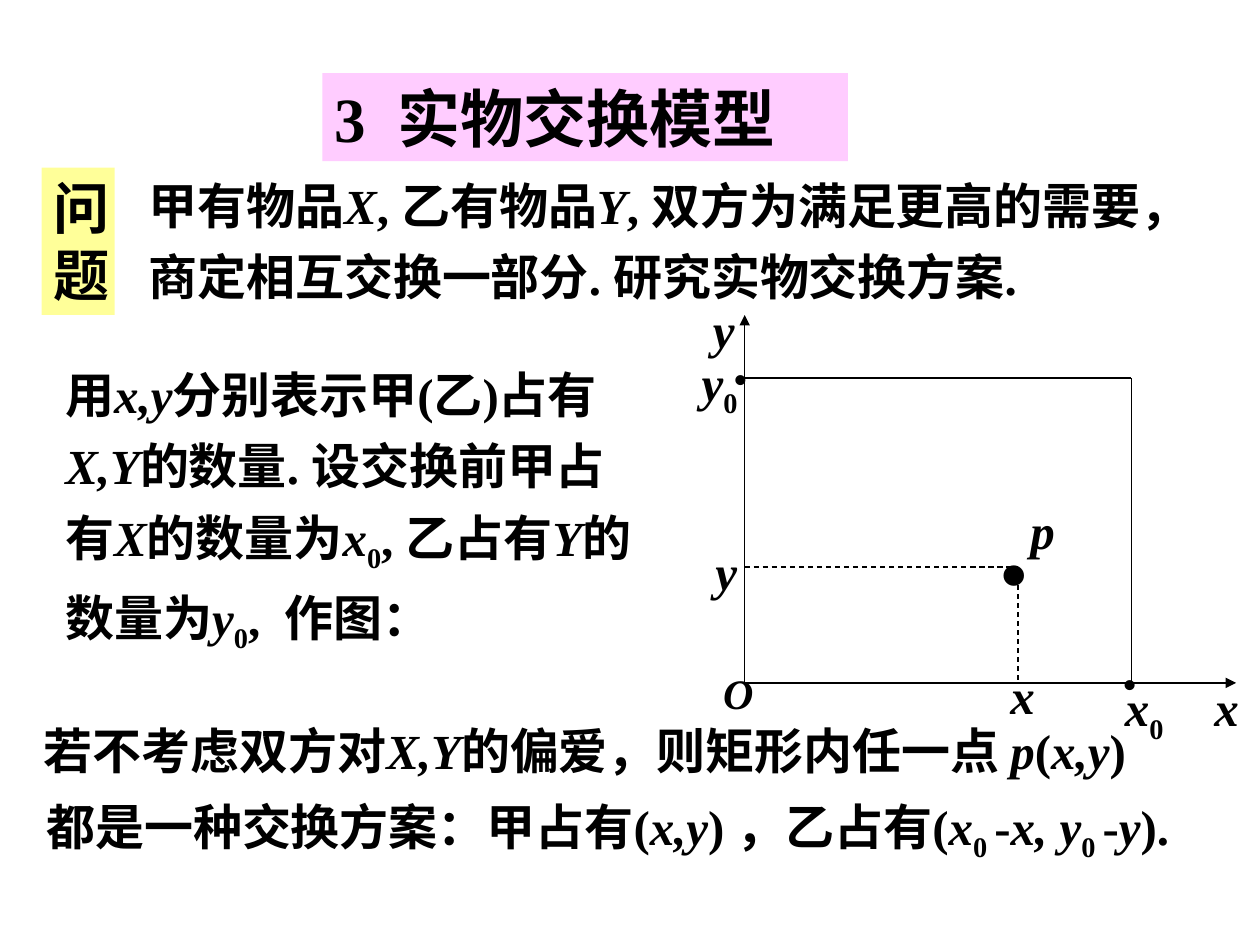
from lxml import etree
from pptx import Presentation, util as u
from pptx.dml.color import RGBColor
from pptx.enum import dml, shapes, text
from pptx.oxml.ns import qn

WIDTH, HEIGHT = 10, 7.5
FONT, TITLE_FONT = "Times New Roman", "Noto Sans CJK SC"
COLOURS = {"ink": "000000", "title": "FFCCFF", "label": "FFFF99"}

# Runs are parted by |  (* italic, _ subscript, ~ widened space, # title font)
# Panels: text, left, top, width, height, size, fill, space before
PANELS = [
    ("3|~ |#实物交换模型", 2.56, 0.58, 4.17, 0.7, 36, "title", 0),
    ("问题", 0.33, 1.33, 0.58, 1.17, 32, "label", 20),
]
# Body: text, left, top, width, height, line spacing, space before
BODY = [
    ("甲有物品|*X|, 乙有物品|*Y|, 双方为满足更高的需要，商定相互交换一部分. 研究实物交换方案.",
     1.08, 1.25, 8.58, 1.22, 1.2, 0),
    ("用|*x,y|分别表示甲(乙)占有|*X,Y|的数量. 设交换前甲占有|*X|的数量为|*x|_0|, 乙占有"
     "|*Y|的数量为|*y|_0|,|~ |作图：", 0.42, 2.75, 4.75, 2.5, 1.2, 0),
    ("若不考虑双方对|*X,Y|的偏爱，则矩形内任一点 |*p|(|*x,y|)",
     0.25, 5.58, 9.33, 0.66, 1.2, 0),
    ("都是一种交换方案：甲占有(|*x,y|) ，乙占有(|*x|_0 |-|*x, y|_0 |-|*y|).",
     0.27, 6.27, 9.33, 1.1, None, 17.5),
]
# Diagram marks: text, left, top, width, height, size, bold
MARKS = [
    ("*y", 5.58, 4.25, 0.5, 0.57, 28, True),
    ("*x", 7.92, 5.23, 0.5, 0.57, 28, True),
    ("*p", 8.08, 3.92, 0.42, 0.57, 28, True),
    (".", 7.83, 3.59, 0.58, 1.3, 72, True),
    ("*x", 9.54, 5.33, 0.93, 0.57, 28, True),
    ("*y", 5.56, 2.33, 0.5, 0.57, 28, True),
    ("*y|_0", 5.47, 2.75, 0.67, 0.63, 28, True),
    ("*O", 5.64, 5.25, 0.57, 0.5, 24, True),
    ("*x|_0", 8.83, 5.33, 0.78, 0.63, 28, True),
    ("•", 8.81, 5.17, 0.67, 0.5, 24, False),
    ("•", 5.72, 2.75, 0.67, 0.5, 24, False),
]
# Diagram coordinates: axes, rectangle corner and the point p
ORIGIN_X, ORIGIN_Y = 5.91, 5.42
AXIS_END, AXIS_TOP = 9.81, 2.5
CORNER_X, CORNER_Y = 8.98, 3
POINT_X, POINT_Y = 8.08, 4.5
LINES = [  # start, end, style
    ((ORIGIN_X, POINT_Y), (POINT_X, POINT_Y), "dash"),
    ((POINT_X, POINT_Y), (POINT_X, ORIGIN_Y), "dash"),
    ((ORIGIN_X, ORIGIN_Y), (AXIS_END, ORIGIN_Y), "arrow"),
    ((ORIGIN_X, ORIGIN_Y), (ORIGIN_X, AXIS_TOP), "arrow"),
    ((ORIGIN_X, CORNER_Y), (CORNER_X, CORNER_Y), "plain"),
    ((CORNER_X, CORNER_Y), (CORNER_X, ORIGIN_Y), "plain"),
]


def colour(name):
    return RGBColor.from_string(COLOURS[name])


def write(box, content, size, bold=True, spacing=None, before=0):
    frame = box.text_frame
    frame.word_wrap = True
    frame.auto_size = text.MSO_AUTO_SIZE.SHAPE_TO_FIT_TEXT
    frame.vertical_anchor = text.MSO_ANCHOR.TOP
    para = frame.paragraphs[0]
    para.alignment = text.PP_ALIGN.LEFT
    para.space_before = u.Pt(before)
    if spacing:
        para.line_spacing = spacing
    for part in content.split("|"):
        mark = part[0] if part[0] in "*_~#" else ""
        span = para.add_run()
        span.text = part[len(mark):]
        font = span.font
        font.name = TITLE_FONT if mark == "#" else FONT
        font.size, font.bold, font.italic = u.Pt(size), bold, mark == "*"
        font.color.rgb = colour("ink")
        props = span._r.get_or_add_rPr()
        if mark == "_":
            props.set("baseline", "-25000")
        elif mark == "~":
            props.set("spc", str(size * 25))


def add_text(page, content, place, size, **style):
    box = page.shapes.add_textbox(*map(u.Inches, place))
    write(box, content, size, **style)


def add_line(page, start, end, style):
    line = page.shapes.add_connector(
        shapes.MSO_CONNECTOR.STRAIGHT, *map(u.Inches, start + end))
    line.line.color.rgb = colour("ink")
    line.line.width = u.Pt(0.75)
    if style == "dash":
        line.line.dash_style = dml.MSO_LINE.DASH
    elif style == "arrow":
        etree.SubElement(line.line._get_or_add_ln(), qn("a:tailEnd"), type="triangle")
    etree.SubElement(line._element.spPr, qn("a:effectLst"))


def main():
    deck = Presentation()
    deck.slide_width, deck.slide_height = u.Inches(WIDTH), u.Inches(HEIGHT)
    page = deck.slides.add_slide(deck.slide_layouts[6])

    # Title and problem label
    for content, *place, size, fill, before in PANELS:
        panel = page.shapes.add_shape(
            shapes.MSO_SHAPE.RECTANGLE, *map(u.Inches, place))
        panel.shadow.inherit = False
        panel.fill.solid()
        panel.fill.fore_color.rgb = colour(fill)
        panel.line.fill.background()
        write(panel, content, size, before=before)

    # Explanations
    for content, *place, spacing, before in BODY:
        add_text(page, content, place, 28, spacing=spacing, before=before)

    # Exchange diagram
    for start, end, style in LINES:
        add_line(page, start, end, style)
    for content, *place, size, bold in MARKS:
        add_text(page, content, place, size, bold=bold, before=size * 0.625)

    deck.save("out.pptx")


if __name__ == "__main__":
    main()
